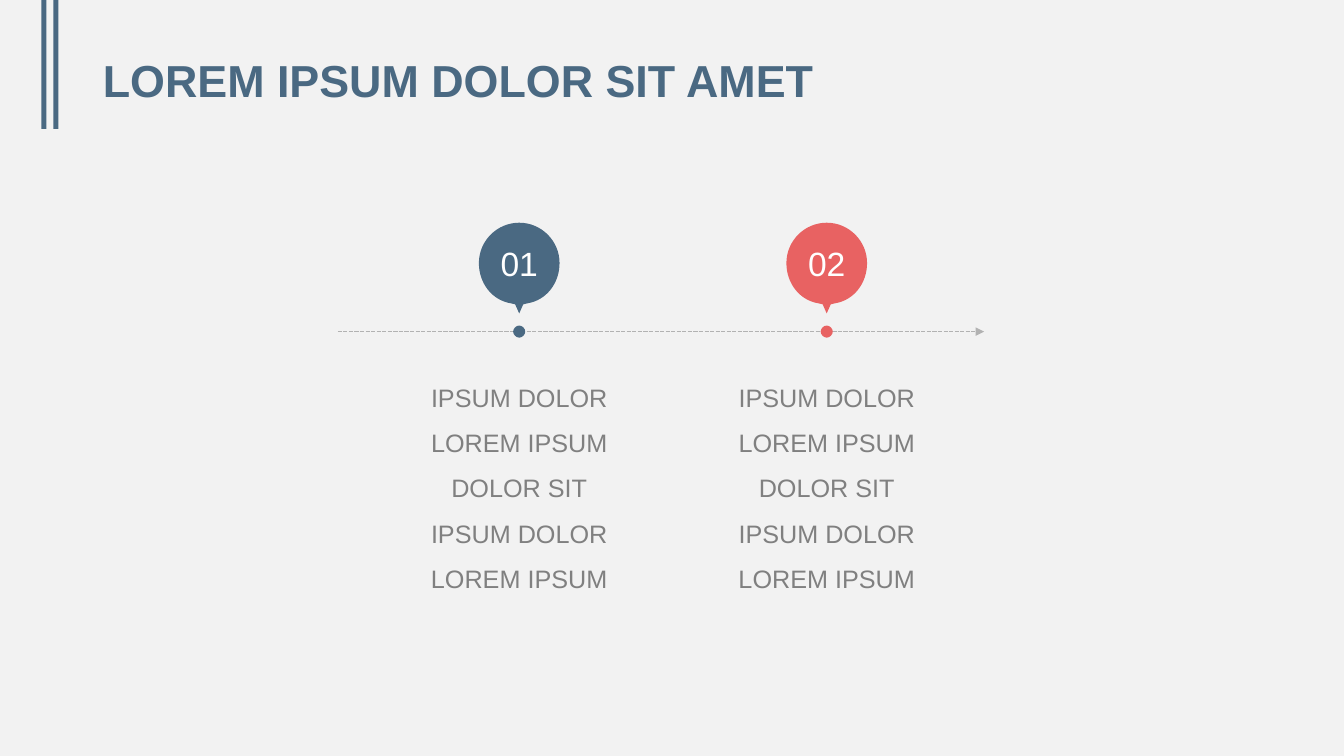
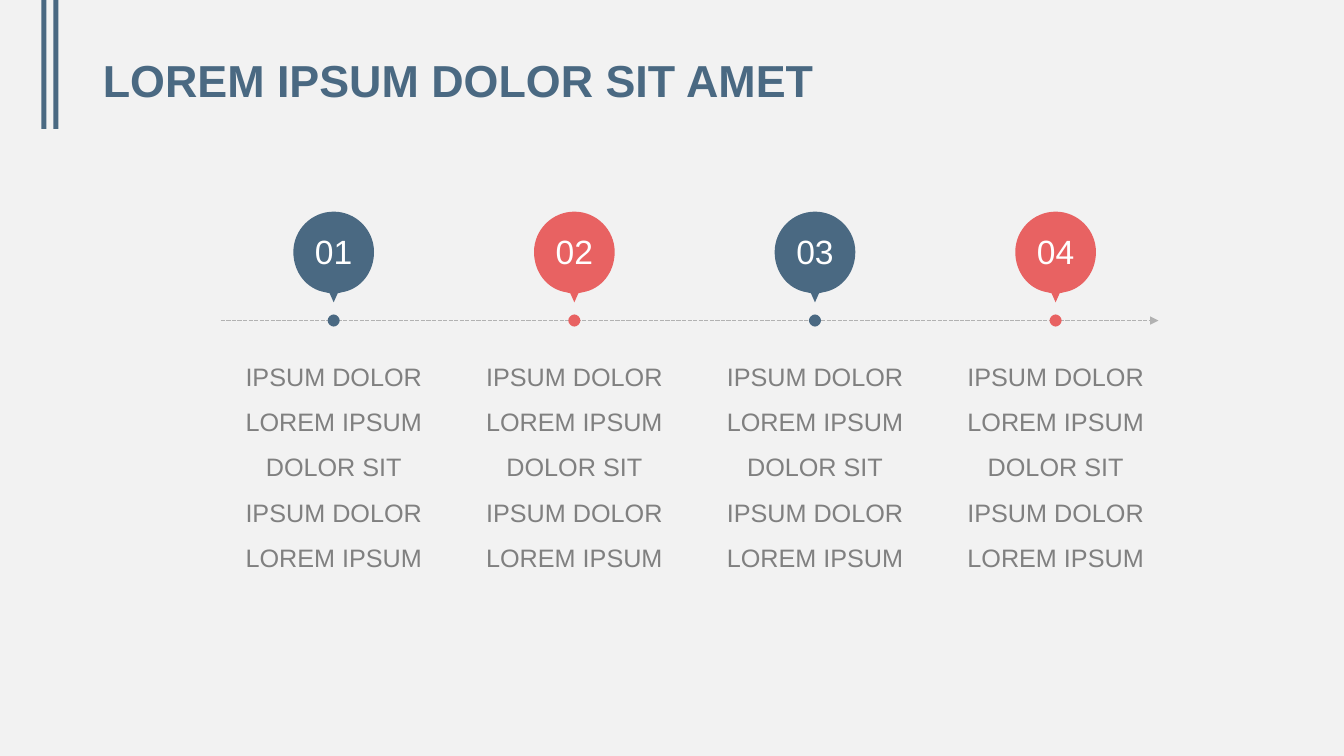
"""Build two timeline slides that share one title style and side bars."""
from dataclasses import dataclass

from lxml.etree import SubElement
from pptx import Presentation
from pptx.dml.color import RGBColor
from pptx.enum.dml import MSO_LINE
from pptx.enum.shapes import MSO_CONNECTOR, MSO_SHAPE
from pptx.enum.text import MSO_ANCHOR, PP_ALIGN
from pptx.oxml.ns import qn
from pptx.shapes.autoshape import Shape
from pptx.shapes.shapetree import GroupShapes
from pptx.slide import Slide, SlideLayout
from pptx.text.text import TextFrame
from pptx.util import Inches, Pt

BLUE = RGBColor(0x4A, 0x69, 0x82)
CORAL = RGBColor(0xE8, 0x62, 0x62)
GREY = RGBColor(0x80, 0x80, 0x80)
SILVER = RGBColor(0xB2, 0xB2, 0xB2)
WHITE = RGBColor(0xFF, 0xFF, 0xFF)
PALE = RGBColor(0xF2, 0xF2, 0xF2)
FONT = "Arial"
TITLE = "LOREM IPSUM DOLOR SIT AMET"
COPY = ["IPSUM DOLOR LOREM IPSUM DOLOR SIT", "IPSUM DOLOR LOREM IPSUM"]
DROP = 1.08

Point = tuple[float, float]
Part = list[Point]

DOT: list[Part] = [
    [(0, -0.06)],
    [(0.03, -0.06), (0.06, -0.03), (0.06, 0)],
    [(0.06, 0.03), (0.03, 0.06), (0, 0.06)],
    [(-0.03, 0.06), (-0.06, 0.03), (-0.06, 0)],
    [(-0.06, -0.03), (-0.03, -0.06), (0, -0.06)],
]
HEAD: list[Part] = [
    [(0, 0)],
    [(0.22, 0), (0.4, 0.18), (0.4, 0.4)],
    [(0.4, 0.6), (0.27, 0.77), (0.08, 0.8)],
    [(0.04, 0.81)],
    [(0, 0.9)],
    [(-0.04, 0.81)],
    [(-0.08, 0.8)],
    [(-0.27, 0.77), (-0.4, 0.6), (-0.4, 0.4)],
    [(-0.4, 0.18), (-0.22, 0), (0, 0)],
]


@dataclass(frozen=True)
class Timeline:
    """Hold the layout of one timeline, in inches."""
    count: int
    start: float
    end: float
    axis: float
    first: float
    last: float
    top: float
    width: float
    height: float


LINES = [
    Timeline(2, 3.35, 9.76, 3.29, 5.15, 8.2, 3.64, 2.66, 3.15),
    Timeline(4, 2.19, 11.49, 3.18, 3.31, 10.47, 3.43, 1.82, 3.12),
]


def write(frame: TextFrame, lines: list[str], *, size: float, color: RGBColor,
          bold: bool = False, align: PP_ALIGN = PP_ALIGN.CENTER,
          space: float = 1.0) -> None:
    """Fill a text frame with one paragraph per line."""
    frame.word_wrap = True
    for index, line in enumerate(lines):
        para = frame.paragraphs[0] if index == 0 else frame.add_paragraph()
        para.alignment = align
        para.line_spacing = space
        run = para.add_run()
        run.text = line
        run.font.name = FONT
        run.font.size = Pt(size)
        run.font.bold = bold
        run.font.color.rgb = color


def inset(frame: TextFrame, bottom: float = 0) -> None:
    """Clear the margins of a frame, save for the bottom one."""
    frame.margin_left = frame.margin_right = frame.margin_top = 0
    frame.margin_bottom = Inches(bottom)


def paint(shape: Shape, color: RGBColor) -> None:
    """Give a shape a flat fill with no line or shadow."""
    shape.shadow.inherit = False
    shape.fill.solid()
    shape.fill.fore_color.rgb = color
    shape.line.fill.background()


def place(part: Part, x: float, y: float) -> list[tuple[int, int]]:
    """Move the points of a part to a spot on the slide."""
    return [(Inches(x + dx), Inches(y + dy)) for dx, dy in part]


def bend(shape: Shape, parts: list[Part]) -> None:
    """Turn each run of three points in an outline into a curve."""
    steps = iter(list(shape.element.iter(qn("a:lnTo"))))
    for part in parts:
        curve, *rest = [next(steps) for _ in part]
        if rest:
            curve.tag = qn("a:cubicBezTo")
        for step in rest:
            curve.append(step[0])
            step.getparent().remove(step)


def add_pin(shapes: GroupShapes, x: float, axis: float, label: str,
            color: RGBColor) -> None:
    """Draw a numbered pin above its dot as one outline."""
    form = shapes.build_freeform(*place(DOT[0], x, axis)[0])
    for outline, y in ((DOT, axis), (HEAD, axis - DROP)):
        form.move_to(*place(outline[0], x, y)[0]) if outline is HEAD else None
        points = [point for part in outline[1:] for point in place(part, x, y)]
        form.add_line_segments(points)
    pin = form.convert_to_shape()
    bend(pin, DOT[1:] + HEAD[1:])
    paint(pin, color)
    frame = pin.text_frame
    inset(frame, 0.35)
    frame.vertical_anchor = MSO_ANCHOR.MIDDLE
    write(frame, [label], size=24, color=WHITE)


def add_axis(slide: Slide, plan: Timeline) -> None:
    """Draw the dashed arrow of a timeline."""
    y = Inches(plan.axis)
    axis = slide.shapes.add_connector(
        MSO_CONNECTOR.STRAIGHT, Inches(plan.start), y, Inches(plan.end), y)
    axis.line.color.rgb = SILVER
    axis.line.width = Pt(1)
    axis.line.dash_style = MSO_LINE.SQUARE_DOT
    SubElement(axis.get_or_add_ln(), qn("a:tailEnd"), type="triangle")
    SubElement(axis.element.spPr, qn("a:effectLst"))


def add_bars(slide: Slide, layout: SlideLayout) -> None:
    """Draw the side bars and move them to the slide master."""
    tree = layout.slide_master.shapes.element
    for x in (0.41, 0.53):
        bar = slide.shapes.add_shape(
            MSO_SHAPE.RECTANGLE, Inches(x), 0, Inches(0.05), Inches(1.28))
        paint(bar, BLUE)
        tree.append(bar.element)


def add_slide(slide: Slide, plan: Timeline) -> None:
    """Fill a slide with its title and timeline."""
    write(slide.shapes.title.text_frame, [TITLE], size=32, color=BLUE,
          bold=True, align=PP_ALIGN.LEFT, space=0.9)
    add_axis(slide, plan)
    step = (plan.last - plan.first) / (plan.count - 1)
    for index in range(plan.count):
        x = plan.first + index * step
        group = slide.shapes.add_group_shape()
        add_pin(group.shapes, x, plan.axis, f"{index + 1:02}", (BLUE, CORAL)[index % 2])
        box = group.shapes.add_textbox(
            Inches(x - plan.width / 2), Inches(plan.top),
            Inches(plan.width), Inches(plan.height))
        inset(box.text_frame)
        write(box.text_frame, COPY, size=18, color=GREY, space=1.5)


def main() -> None:
    """Build and save the deck."""
    deck = Presentation()
    deck.slide_width, deck.slide_height = Inches(13.33), Inches(7.5)
    back = deck.slide_master.background.fill
    back.solid()
    back.fore_color.rgb = PALE
    layout = deck.slide_layouts[5]
    title = layout.placeholders[0]
    title.left, title.top = Inches(0.92), Inches(0.43)
    title.width, title.height = Inches(11.5), Inches(0.79)
    title.text_frame.vertical_anchor = MSO_ANCHOR.MIDDLE
    slides = [deck.slides.add_slide(layout) for _ in LINES]
    add_bars(slides[0], layout)
    for slide, plan in zip(slides, LINES):
        add_slide(slide, plan)
    deck.save("out.pptx")


if __name__ == "__main__":
    main()
